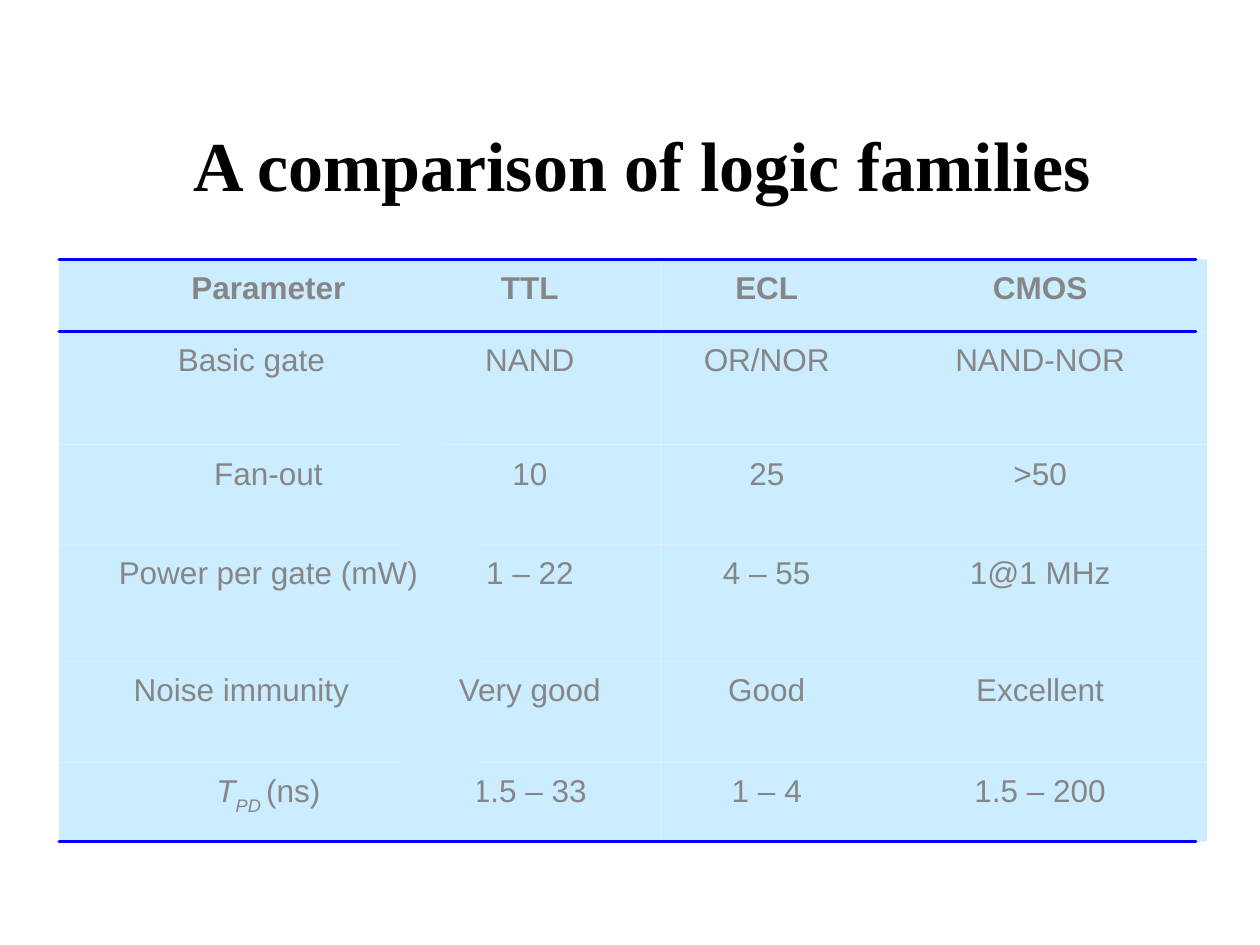
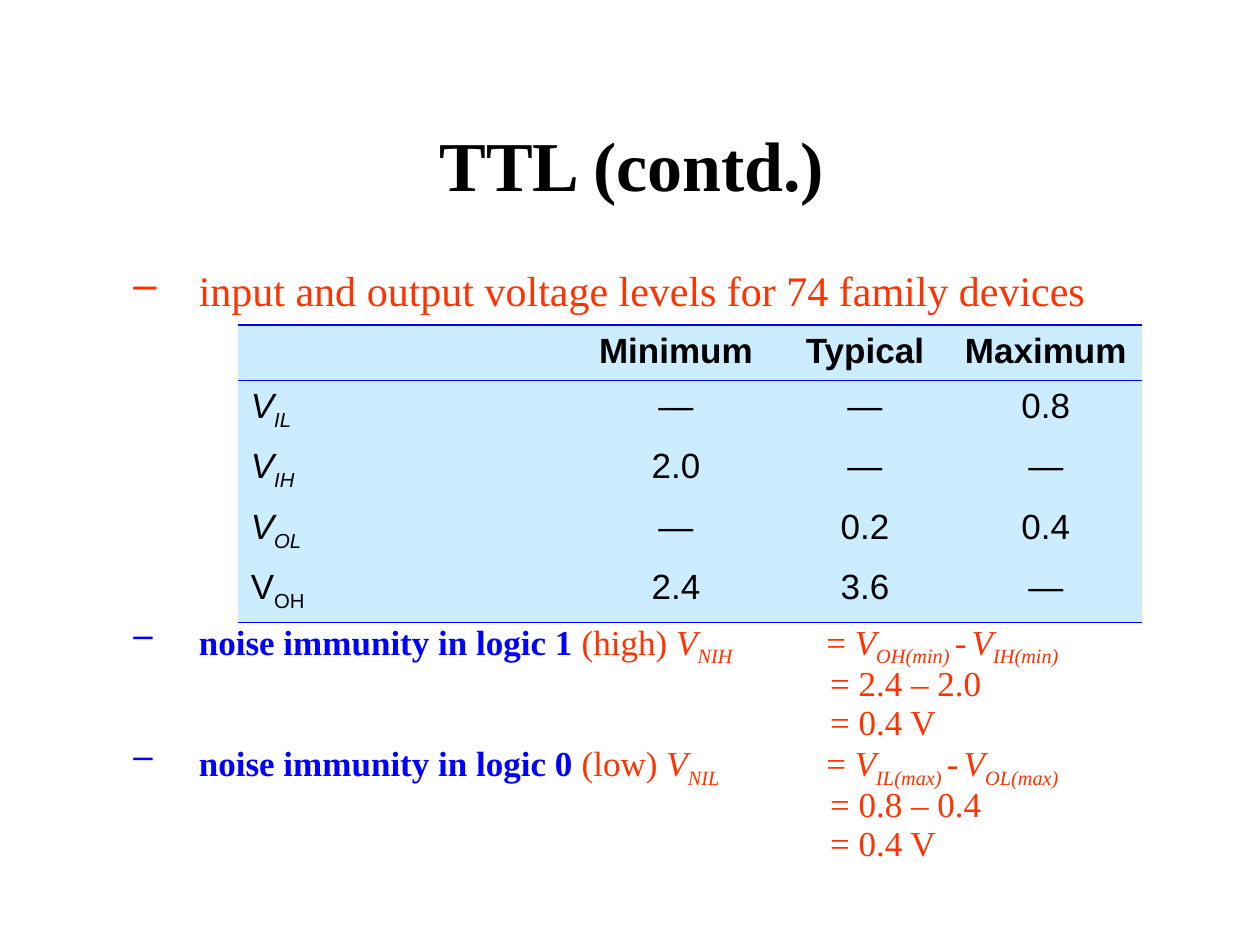
from itertools import accumulate
from lxml.etree import SubElement
from pptx import Presentation
from pptx.dml.color import RGBColor
from pptx.enum.shapes import MSO_CONNECTOR, MSO_SHAPE
from pptx.enum.text import MSO_ANCHOR, PP_ALIGN
from pptx.oxml.ns import qn
from pptx.util import Inches, Pt

BLACK, GREY, BLUE, RED, PALE_BLUE = "000000", "868686", "0000FF", "FF3300", "CCECFF"
SERIF, SANS = "Times New Roman", "Arial"
PLAIN_TABLE_STYLE = "{2D5ABB26-0587-4C30-8999-92F81FD0307C}"
TITLE = dict(name=SERIF, size=Pt(40), color=BLACK, bold=True)
FAMILY = dict(name=SANS, size=Pt(18), color=GREY)
LEVEL = dict(name=SANS, size=Pt(20), color=BLACK)
HEADLINE = dict(name=SERIF, size=Pt(24), color=RED)
FORMULA = dict(name=SERIF, size=Pt(20), color=RED)
BOLD = dict(bold=True)
FAMILY_ROWS = [
    ["Parameter", "TTL", "ECL", "CMOS"],
    ["Basic gate", "NAND", "OR/NOR", "NAND-NOR"],
    ["Fan-out", "10", "25", ">50"],
    ["Power per gate (mW)", "1 – 22", "4 – 55", "1@1 MHz"],
    ["Noise immunity", "Very good", "Good", "Excellent"],
    [None, "1.5 – 33", "1 – 4", "1.5 – 200"],
]
LEVEL_ROWS = [
    ["", "Minimum", "Typical", "Maximum"],
    ["IL", "—", "—", "0.8"],
    ["IH", "2.0", "—", "—"],
    ["OL", "—", "0.2", "0.4"],
    ["OH", "2.4", "3.6", "—"],
]


def rgb(hex_color):
    """Turn a hex string into a colour."""
    return RGBColor.from_string(hex_color)


def add_runs(paragraph, runs, base):
    """Write (text, changes) runs over a base format."""
    for text, changes in runs:
        run = paragraph.add_run()
        run.text = text
        for key, value in {**base, **changes}.items():
            if key == "color":
                run.font.color.rgb = rgb(value)
            elif key == "baseline":
                run._r.get_or_add_rPr().set("baseline", str(value * 1000))
            else:
                setattr(run.font, key, value)


def symbol(letter, subscript, drop=-25, **style):
    """Return the runs of a letter with a subscript."""
    return [(letter, style), (subscript, {**style, "baseline": drop})]


def add_text_box(slide, left, top, width, height, **frame_format):
    """Add a wrapping text box and return its frame."""
    frame = slide.shapes.add_textbox(*map(Inches, (left, top, width, height))).text_frame
    for key, value in {"word_wrap": True, **frame_format}.items():
        setattr(frame, key, value)
    return frame


def add_title(slide, text, left=0.5):
    """Add the centred slide title."""
    frame = add_text_box(slide, left, 0.84, 9.17, 0.92, vertical_anchor=MSO_ANCHOR.MIDDLE)
    frame.paragraphs[0].alignment = PP_ALIGN.CENTER
    add_runs(frame.paragraphs[0], [(text, {})], TITLE)


def fill_cell(cell, runs, base, alignment=PP_ALIGN.CENTER):
    """Colour a cell or tile and write its runs."""
    cell.fill.solid()
    cell.fill.fore_color.rgb = rgb(PALE_BLUE)
    paragraph = cell.text_frame.paragraphs[0]
    paragraph.alignment = alignment
    add_runs(paragraph, runs, base)


def add_tile(shapes, left, top, width, height, runs):
    """Add one borderless tile of the family grid."""
    tile = shapes.add_shape(MSO_SHAPE.RECTANGLE, *map(Inches, (left, top, width, height)))
    tile.shadow.inherit = False
    tile.line.fill.background()
    tile.text_frame.vertical_anchor = MSO_ANCHOR.TOP
    tile.text_frame.margin_top = Inches(0.07)
    fill_cell(tile, runs, FAMILY)


def add_rule(shapes, y):
    """Draw a blue rule across the family grid."""
    rule = shapes.add_connector(
        MSO_CONNECTOR.STRAIGHT, Inches(0.47), Inches(y), Inches(9.49), Inches(y))
    rule.line.color.rgb = rgb(BLUE)
    rule.line.width = Pt(2)
    rule.line._get_or_add_ln().set("cap", "rnd")
    SubElement(rule._element.spPr, qn("a:effectLst"))


def add_family_grid(slide):
    """Compare the logic families on tiles, the label tiles lying on top."""
    shapes = slide.shapes.add_group_shape().shapes
    heights = [0.57, 0.9, 0.79, 0.93, 0.8, 0.63]
    tops = list(accumulate(heights, initial=2.06))
    label_widths = [3.32, 3.05, 3.32, 3.32, 2.89, 3.32]
    delay = symbol("T", "PD ", drop=-30, italic=True) + [("(ns)", {})]
    for r in reversed(range(len(FAMILY_ROWS))):
        columns = [(0.47, label_widths[r]), (3.17, 2.07), (5.24, 1.69), (6.93, 2.65)]
        for (left, width), value in reversed(list(zip(columns, FAMILY_ROWS[r]))):
            runs = [(value, BOLD if r == 0 else {})] if value else delay
            add_tile(shapes, left, tops[r], width, heights[r], runs)
    for y in (tops[0], tops[-1], tops[1]):
        add_rule(shapes, y)


def add_plain_table(slide, left, top, widths, heights):
    """Add an unstyled table with the given grid."""
    table = slide.shapes.add_table(
        len(heights), len(widths), Inches(left), Inches(top),
        Inches(sum(widths)), Inches(sum(heights))).table
    table.first_row = table.horz_banding = False
    table._tbl.tblPr.find(qn("a:tableStyleId")).text = PLAIN_TABLE_STYLE
    for column, width in zip(table.columns, widths):
        column.width = Inches(width)
    for row, height in zip(table.rows, heights):
        row.height = Inches(height)
    return table


def set_borders(cell, blue_sides):
    """Draw thin blue borders on the given sides and none elsewhere."""
    for side in "LRTB":
        border = SubElement(cell._tc.get_or_add_tcPr(), qn(f"a:ln{side}"), w=str(Pt(0.96)))
        if side in blue_sides:
            SubElement(SubElement(border, qn("a:solidFill")), qn("a:srgbClr"), val=BLUE)
        else:
            SubElement(border, qn("a:noFill"))


def add_level_table(slide):
    """List the voltage levels."""
    table = add_plain_table(slide, 1.89, 2.58, [2.65, 1.65, 1.35, 1.52], [0.44] + [0.48] * 4)
    last = len(LEVEL_ROWS) - 1
    blue_sides = {0: "TB", 1: "T", last: "B"}
    for r, (level, *values) in enumerate(LEVEL_ROWS):
        for c in range(len(values) + 1):
            set_borders(table.cell(r, c), blue_sides.get(r, ""))
        label = symbol("V", level, italic=r < last) if level else []
        fill_cell(table.cell(r, 0), label, LEVEL, PP_ALIGN.LEFT)
        for c, value in enumerate(values, 1):
            fill_cell(table.cell(r, c), [(value, BOLD if r == 0 else {})], LEVEL)


def indent(paragraph, left, bullet_color=None):
    """Indent a paragraph, with a hanging dash and a tab if coloured."""
    properties = paragraph._p.get_or_add_pPr()
    properties.set("marL", str(Inches(left)))
    if bullet_color:
        properties.set("indent", str(Inches(-0.52)))
        SubElement(SubElement(properties, qn("a:buClr")), qn("a:srgbClr"), val=bullet_color)
        SubElement(properties, qn("a:buChar"), char="–")
        SubElement(SubElement(properties, qn("a:tabLst")), qn("a:tab"),
                   pos=str(Inches(6)), algn="l")


def add_noise_margin(frame, logic, state, names, difference, gap):
    """Write one noise immunity formula and its two steps."""
    margin, minuend, subtrahend = names
    formula = [(f"noise immunity in logic {logic}", dict(color=BLUE, bold=True)),
               (f" ({state}) ", {}), *symbol("V", margin + "\t", italic=True), ("= ", {}),
               *symbol("V", minuend + " ", italic=True), *symbol("-", " "),
               *symbol("V", subtrahend, italic=True)]
    lines = [formula, [(f"= {difference}", {})], [("= 0.4 V", {})]]
    for number, (runs, space) in enumerate(zip(lines, (gap, 4, 3))):
        paragraph = frame.add_paragraph()
        paragraph.line_spacing = 0.8
        paragraph.space_before = Pt(space)
        if number:
            indent(paragraph, 6.03)
        else:
            indent(paragraph, 1.02, BLUE)
        add_runs(paragraph, runs, FORMULA)


def add_voltage_notes(slide):
    """Write the notes above and below the level table."""
    frame = add_text_box(slide, 0.46, 2.05, 9.17, 4.92)
    indent(frame.paragraphs[0], 1.02, RED)
    add_runs(frame.paragraphs[0],
             [("input and output voltage levels for 74 family devices", {})], HEADLINE)
    add_noise_margin(frame, 1, "high", ("NIH", "OH(min)", "IH(min)"), "2.4 – 2.0", gap=177)
    add_noise_margin(frame, 0, "low", ("NIL", "IL(max)", "OL(max)"), "0.8 – 0.4", gap=2)


def main():
    """Build both slides and save them."""
    deck = Presentation()
    deck.slide_width, deck.slide_height = Inches(10), Inches(7.5)
    blank = deck.slide_layouts[6]

    families = deck.slides.add_slide(blank)
    add_title(families, "A comparison of logic families", left=0.51)
    add_family_grid(families)

    voltages = deck.slides.add_slide(blank)
    add_voltage_notes(voltages)
    add_level_table(voltages)
    add_title(voltages, "TTL (contd.) ")
    deck.save("out.pptx")


if __name__ == "__main__":
    main()
